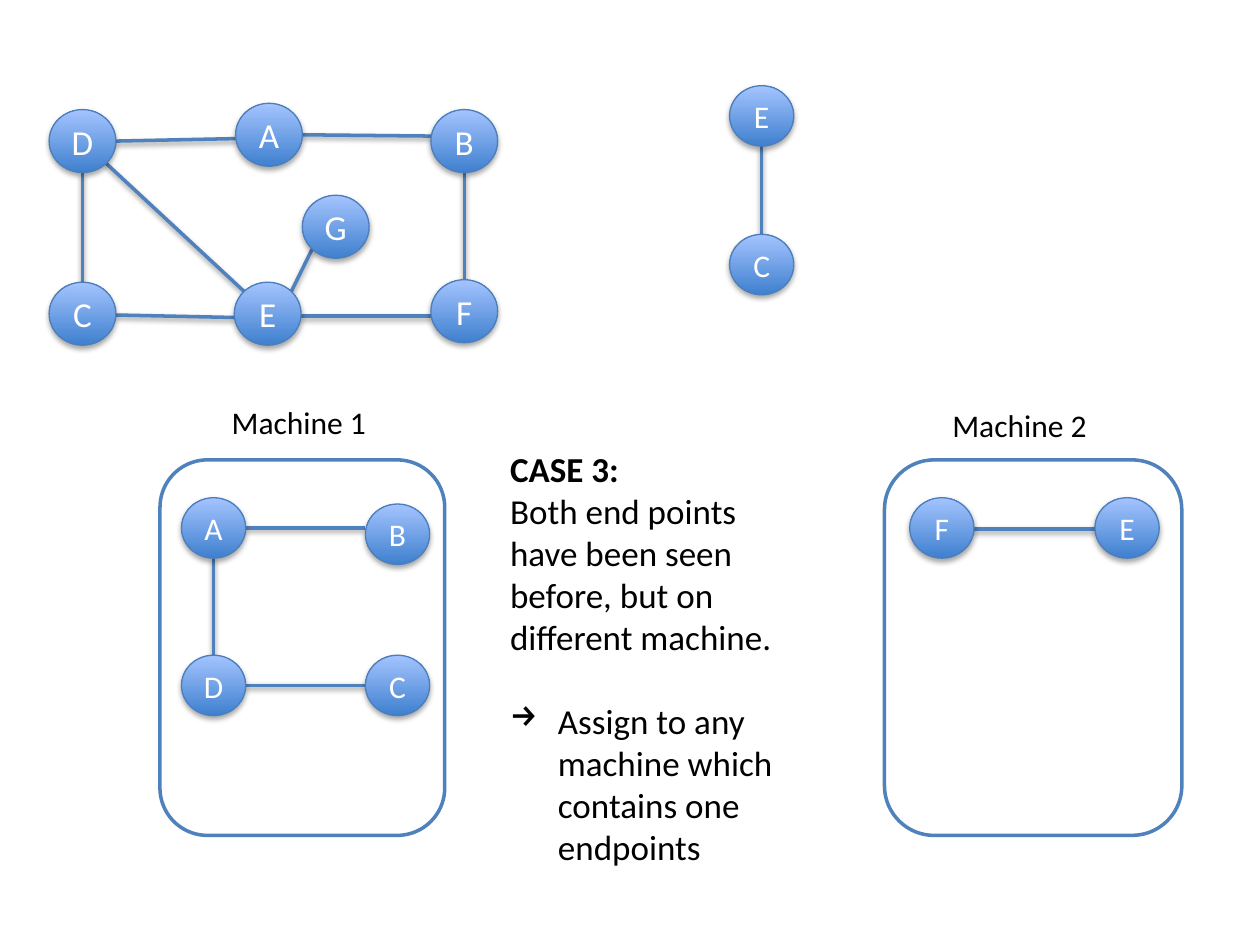
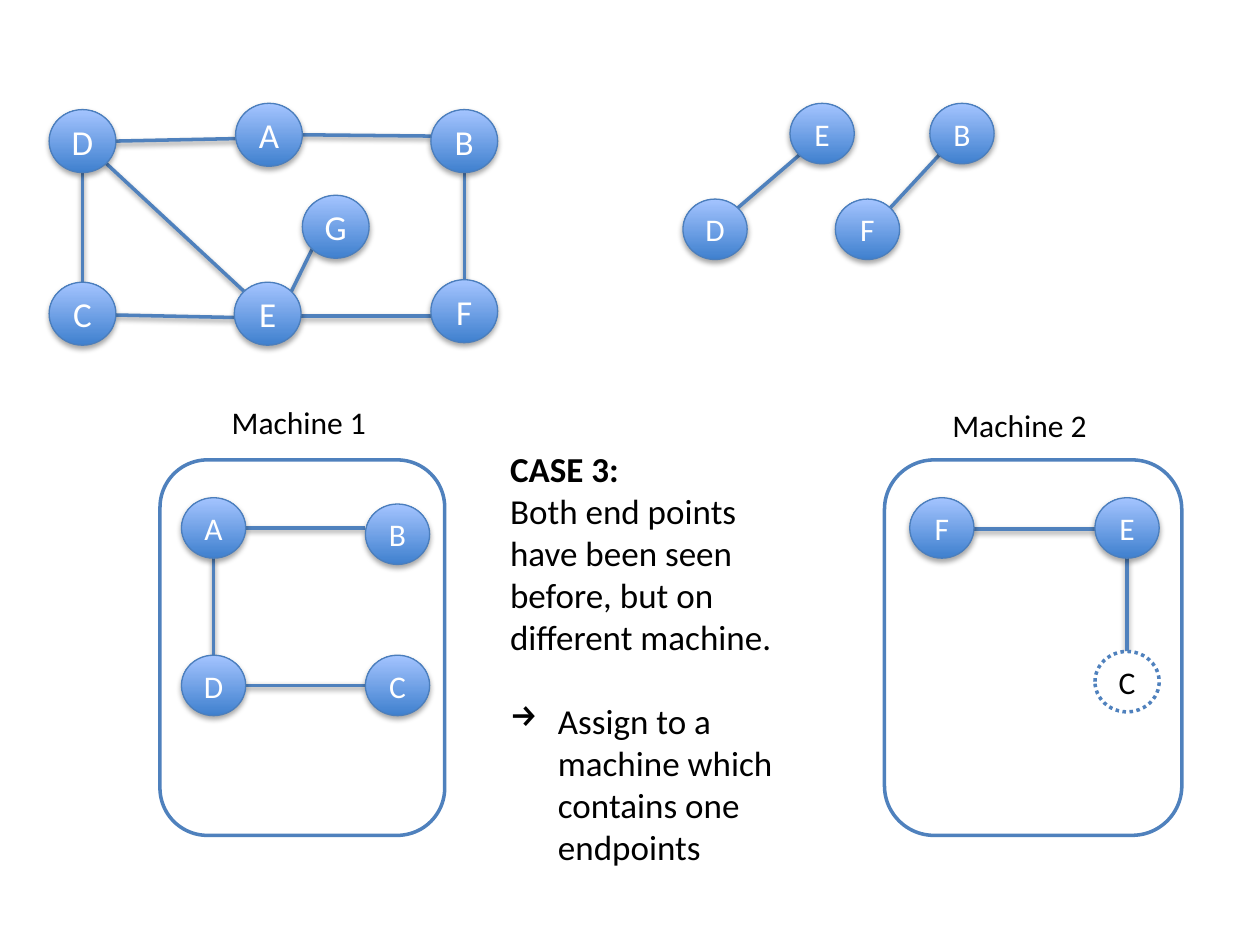
from dataclasses import dataclass
from math import atan2, cos, pi, sin

from lxml.etree import SubElement
from pptx import Presentation
from pptx.dml.color import RGBColor
from pptx.enum.dml import MSO_LINE
from pptx.enum.shapes import MSO_CONNECTOR, MSO_SHAPE
from pptx.enum.text import MSO_ANCHOR, MSO_AUTO_SIZE, PP_ALIGN
from pptx.oxml.ns import qn
from pptx.util import Inches, Pt


@dataclass(frozen=True)
class Theme:
    font: str = "Calibri"
    line: RGBColor = RGBColor(0x4F, 0x81, 0xBD)
    node_line: RGBColor = RGBColor(0x4B, 0x7E, 0xBC)
    node_bottom: RGBColor = RGBColor(0x3F, 0x80, 0xCE)
    node_top: RGBColor = RGBColor(0xA4, 0xC4, 0xFF)
    white: RGBColor = RGBColor(0xFF, 0xFF, 0xFF)
    black: RGBColor = RGBColor(0, 0, 0)
    large: int = 20
    medium: int = 18
    line_width: float = 2
    node_line_width: float = 0.75


THEME = Theme()
LARGE_NODE = (0.53, 0.5, THEME.large)
SMALL_NODE = (0.51, 0.48, THEME.medium)

# A graph has the left and top of each node, and edges as
# (start, end) or (start, end, height at start, height at end).
FULL_GRAPH = {
    "size": LARGE_NODE,
    "nodes": {"A": (1.87, 0.82), "B": (3.42, 0.87), "C": (0.39, 2.24), "D": (0.39, 0.87),
              "E": (1.86, 2.24), "F": (3.42, 2.22), "G": (2.4, 1.55)},
    "edges": [("A", "B", 1.07, 1.08), ("B", "F"), ("D", "A", 1.12, 1.1), ("F", "E", 2.51, 2.51),
              ("D", "C"), ("D", "E"), ("C", "E", 2.5, 2.52), ("G", "E")],
}
MACHINE_1_GRAPH = {
    "size": SMALL_NODE,
    "nodes": {"A": (1.44, 3.95), "B": (2.9, 4), "C": (2.9, 5.2), "D": (1.44, 5.2)},
    "edges": [("A", "B", 4.19, 4.19), ("A", "D"), ("D", "C")],
}
MACHINE_2_BEFORE = {
    "size": SMALL_NODE,
    "nodes": {"E": (8.69, 3.95), "F": (7.22, 3.95)},
    "edges": [("E", "F", 4.2, 4.2)],
}
MACHINE_2_AFTER = {
    "size": SMALL_NODE,
    "nodes": MACHINE_2_BEFORE["nodes"] | {"C": (8.69, 5.17)},
    "edges": MACHINE_2_BEFORE["edges"] + [("E", "C")],
    "copied": "C",
}


def single_edge(start, end, start_position, end_position):
    return {"size": SMALL_NODE, "nodes": {start: start_position, end: end_position},
            "edges": [(start, end)]}


MACHINES = [
    {"name": "Machine 1", "label": (1.74, 3.15, 1.5, 0.4), "frame": (1.27, 3.65, 2.26, 2.98)},
    {"name": "Machine 2", "label": (7.46, 3.17, 1.5, 0.4), "frame": (7.02, 3.65, 2.36, 2.98)},
]
CASE_BOX = (3.95, 3.5, 2.4, 3.47)
CASE_TITLE = "CASE 3:"
CASE_TEXT = "Both end points have been seen before, but on different machine."
SLIDES = [
    {"graphs": [single_edge("E", "C", (5.79, 0.68), (5.79, 1.86)), MACHINE_2_BEFORE],
     "rule": "Assign to any machine which contains one endpoints"},
    {"graphs": [single_edge("B", "F", (7.38, 0.82), (6.63, 1.58)),
                single_edge("E", "D", (6.27, 0.82), (5.42, 1.58)), MACHINE_2_AFTER],
     "rule": "Assign to a machine which contains one endpoints"},
]


def inches(values):
    return [Inches(value) for value in values]


def set_shadow(shape, distance=None, opacity=None):
    """Give the shape a soft shadow below it, or none when no distance is given."""
    effects = SubElement(shape._element.spPr, qn("a:effectLst"))
    if distance is None:
        return
    shadow = SubElement(effects, qn("a:outerShdw"), blurRad=str(Pt(3.1)),
                        dist=str(Pt(distance)), dir="5400000", rotWithShape="0")
    color = SubElement(shadow, qn("a:srgbClr"), val=str(THEME.black))
    SubElement(color, qn("a:alpha"), val=str(opacity * 1000))


def set_line(shape, color=THEME.line, width=THEME.line_width):
    shape.line.color.rgb = color
    shape.line.width = Pt(width)


def set_white_fill(shape):
    shape.fill.solid()
    shape.fill.fore_color.rgb = THEME.white


def add_run(paragraph, text, size, color=THEME.black, bold=False):
    run = paragraph.add_run()
    run.text = text
    run.font.name = THEME.font
    run.font.size = Pt(size)
    run.font.color.rgb = color
    run.font.bold = bold


def add_text_box(slide, box):
    frame = slide.shapes.add_textbox(*inches(box)).text_frame
    frame.word_wrap = True
    frame.auto_size = MSO_AUTO_SIZE.SHAPE_TO_FIT_TEXT
    return frame


def add_node(shapes, letter, position, size, copied):
    width, height, text_size = size
    node = shapes.add_shape(MSO_SHAPE.OVAL, *inches((*position, width, height)))
    if copied:
        set_white_fill(node)
        set_line(node)
        node.line.dash_style = MSO_LINE.ROUND_DOT
        set_shadow(node)
    else:
        node.fill.gradient()
        node.fill.gradient_angle = 90
        for stop, color in zip(node.fill.gradient_stops, (THEME.node_bottom, THEME.node_top)):
            stop.color.rgb = color
        set_line(node, THEME.node_line, THEME.node_line_width)
        set_shadow(node, 1.8, 35)
    frame = node.text_frame
    frame.margin_left = frame.margin_right = frame.margin_top = frame.margin_bottom = 0
    frame.vertical_anchor = MSO_ANCHOR.MIDDLE
    paragraph = frame.paragraphs[0]
    paragraph.alignment = PP_ALIGN.CENTER
    add_run(paragraph, letter, text_size, THEME.black if copied else THEME.white)


def edge_ends(start, end, size):
    """Join the points of two equal ovals that face each other, in steps of 45 degrees."""
    width, height, _ = size
    angle = round(atan2(end[1] - start[1], end[0] - start[0]) / (pi / 4)) * pi / 4
    return [[left + width / 2 * (1 + side * cos(angle)), top + height / 2 * (1 + side * sin(angle))]
            for (left, top), side in ((start, 1), (end, -1))]


def add_graph(slide, graph):
    shapes = slide.shapes.add_group_shape().shapes
    nodes, size = graph["nodes"], graph["size"]
    for start, end, *heights in graph["edges"]:
        ends = edge_ends(nodes[start], nodes[end], size)
        for point, height in zip(ends, heights):
            point[1] = height
        edge = shapes.add_connector(MSO_CONNECTOR.STRAIGHT, *inches(ends[0] + ends[1]))
        set_line(edge)
        set_shadow(edge, 1.6, 38)
    for letter, position in nodes.items():
        add_node(shapes, letter, position, size, letter == graph.get("copied"))


def add_machine(slide, machine):
    frame = slide.shapes.add_shape(MSO_SHAPE.ROUNDED_RECTANGLE, *inches(machine["frame"]))
    set_white_fill(frame)
    set_line(frame)
    set_shadow(frame)
    label = add_text_box(slide, machine["label"])
    add_run(label.paragraphs[0], machine["name"], THEME.medium)


def add_case(slide, rule):
    frame = add_text_box(slide, CASE_BOX)
    add_run(frame.paragraphs[0], CASE_TITLE, THEME.large, bold=True)
    add_run(frame.add_paragraph(), CASE_TEXT, THEME.large)
    paragraph = frame.add_paragraph()
    paragraph.space_before = Pt(24)
    properties = paragraph._p.get_or_add_pPr()
    properties.set("marL", str(Inches(0.38)))
    properties.set("indent", str(Inches(-0.38)))
    SubElement(properties, qn("a:buChar"), char="→")
    add_run(paragraph, rule, THEME.large)


def main():
    presentation = Presentation()
    presentation.slide_width, presentation.slide_height = inches((10, 7.5))
    blank_layout = presentation.slide_layouts[6]
    for content in SLIDES:
        slide = presentation.slides.add_slide(blank_layout)
        for machine in MACHINES:
            add_machine(slide, machine)
        for graph in [FULL_GRAPH, MACHINE_1_GRAPH, *content["graphs"]]:
            add_graph(slide, graph)
        add_case(slide, content["rule"])
    presentation.save("out.pptx")


if __name__ == "__main__":
    main()
